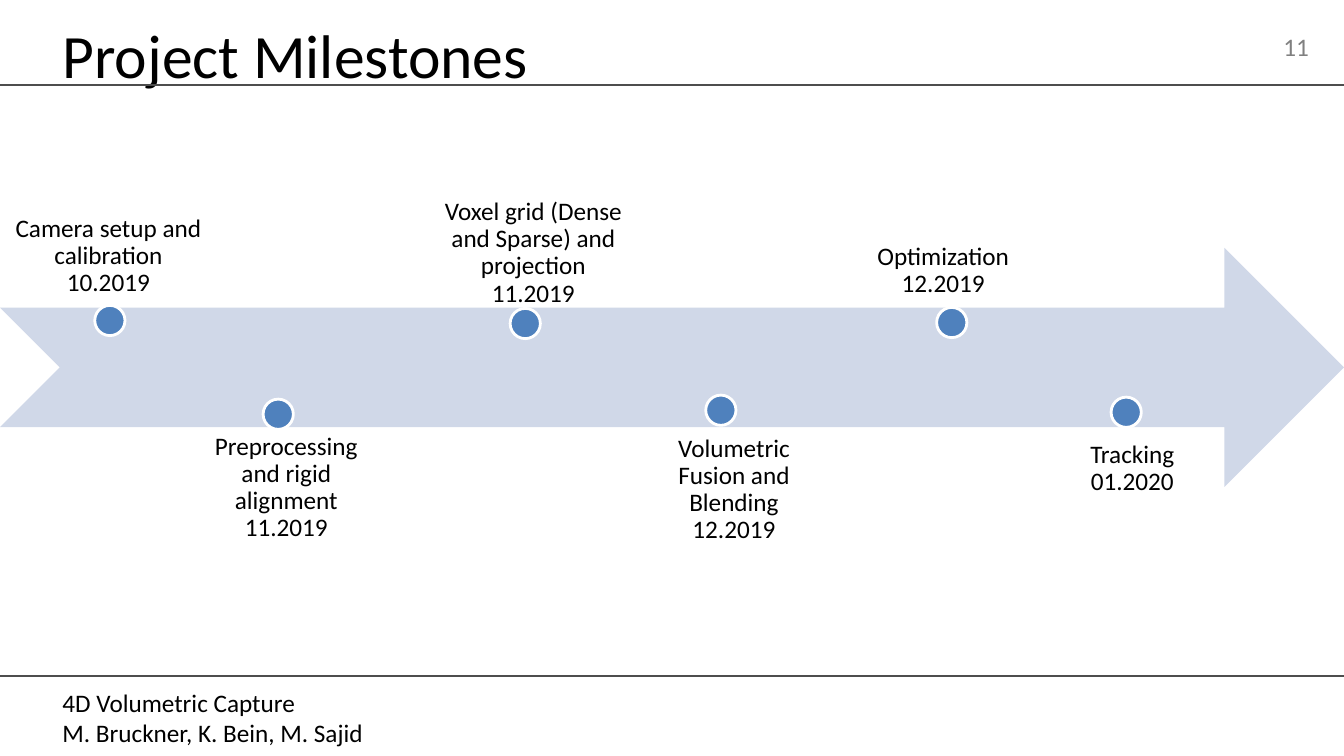
from lxml import etree
from pptx import Presentation
from pptx import util as u
from pptx.dml.color import RGBColor
from pptx.enum import shapes, text
from pptx.oxml import ns

COLOURS = {"ink": "000000", "rule": "4D4D4D", "number": "808080",
           "arrow": "D0D8E8", "dot": "4F81BD", "ring": "FFFFFF"}
FONT = "Calibri"
WIDTH, HEIGHT = 13.33, 7.5
DOT_SIZE = 0.3
LABEL_INSET = 0.14
TOP, BOTTOM = text.MSO_ANCHOR.TOP, text.MSO_ANCHOR.BOTTOM
LEFT, CENTER, RIGHT = text.PP_ALIGN.LEFT, text.PP_ALIGN.CENTER, text.PP_ALIGN.RIGHT

# Label, date, label box, label anchor, dot corner; all relative to the timeline box
MILESTONES = [
    ("Camera setup and calibration", "10.2019", (0, 0.01, 2.15, 0.62), BOTTOM, (0.94, 0.57)),
    ("Preprocessing and rigid alignment", "11.2019", (1.97, 1.7, 1.74, 0.5), TOP, (2.61, 1.5)),
    ("Voxel grid (Dense and Sparse) and projection", "11.2019",
     (4.14, -0.63, 2.3, 0.83), TOP, (5.06, 0.6)),
    ("Volumetric Fusion and Blending", "12.2019", (6.25, 2, 2.06, 1.08), BOTTOM, (7, 1.46)),
    ("Optimization", "12.2019", (8.45, -0.22, 1.81, 0.86), BOTTOM, (9.29, 0.59)),
    ("Tracking", "01.2020", (10.64, 1.78, 1.18, 0.58), TOP, (11.02, 1.48)),
]


def colour(name):
    return RGBColor.from_string(COLOURS[name])


def inches(box):
    return [u.Inches(length) for length in box]


def write(shape, lines, size=18, ink="ink", anchor=TOP, inset=None, **paragraph_format):
    """Fill a shape with one paragraph per line."""
    frame = shape.text_frame
    frame_format = {"word_wrap": True, "auto_size": text.MSO_AUTO_SIZE.NONE,
                    "vertical_anchor": anchor}
    if inset is not None:
        for side in ("left", "top", "right", "bottom"):
            frame_format[f"margin_{side}"] = u.Inches(inset)
    for name, value in frame_format.items():
        setattr(frame, name, value)
    frame.text = "\n".join(lines)
    for para in frame.paragraphs:
        for name, value in paragraph_format.items():
            setattr(para, name, value)
        for span in para.runs:
            for name, value in {"name": FONT, "size": u.Pt(size)}.items():
                setattr(span.font, name, value)
            span.font.color.rgb = colour(ink)


def add_text(page, box, lines, **text_format):
    write(page.shapes.add_textbox(*inches(box)), lines, **text_format)


def add_rule(page, y):
    """Draw a line across the whole page."""
    rule = page.shapes.add_connector(shapes.MSO_CONNECTOR.STRAIGHT, *inches((0, y, WIDTH, y)))
    rule.line.color.rgb = colour("rule")
    rule.line.width = u.Pt(1.5)
    etree.SubElement(rule._element.spPr, ns.qn("a:effectLst"))


def add_filled(page, kind, box, fill, ring=None):
    shape = page.shapes.add_shape(kind, *inches(box))
    shape.shadow.inherit = False
    shape.fill.solid()
    shape.fill.fore_color.rgb = colour(fill)
    if ring:
        shape.line.color.rgb = colour(ring)
        shape.line.width = u.Pt(2)
    else:
        shape.line.fill.background()


def add_header(page, box):
    left, top, width, height = box
    add_rule(page, top + 0.84)
    add_text(page, (left + width - 0.93, top + 0.26, 0.68, 0.4), ["11"],
             ink="number", alignment=RIGHT)
    title = page.shapes.title
    title_box = inches((left + 0.52, top, 9.54, height))
    for name, value in zip(("left", "top", "width", "height"), title_box):
        setattr(title, name, value)
    write(title, ["Project Milestones"], size=44, anchor=BOTTOM, alignment=LEFT)


def add_timeline(page, box):
    left, top, width, height = box
    add_filled(page, shapes.MSO_SHAPE.NOTCHED_RIGHT_ARROW, box, "arrow")
    for label, date, (x, y, label_width, label_height), anchor, (dot_x, dot_y) in MILESTONES:
        add_text(page, (left + x, top + y, label_width, label_height), [label, date],
                 anchor=anchor, inset=LABEL_INSET, alignment=CENTER, line_spacing=0.9)
        add_filled(page, shapes.MSO_SHAPE.OVAL,
                   (left + dot_x, top + dot_y, DOT_SIZE, DOT_SIZE), "dot", ring="ring")


def add_footer(page, box):
    left, top, width, height = box
    add_rule(page, top)
    add_text(page, (left + 0.52, top + 0.06, 9.42, height - 0.08),
             ["4D Volumetric Capture", "M. Bruckner, K. Bein, M. Sajid"], alignment=LEFT)


def main():
    deck = Presentation()
    deck.slide_width, deck.slide_height = inches((WIDTH, HEIGHT))
    page = deck.slides.add_slide(deck.slide_layouts.get_by_name("Title Only"))
    add_footer(page, (0, 6.71, WIDTH, 0.79))
    add_header(page, (0, 0, WIDTH, 0.95))
    add_timeline(page, (0, 2.46, WIDTH, 2.37))
    deck.save("out.pptx")


if __name__ == "__main__":
    main()
